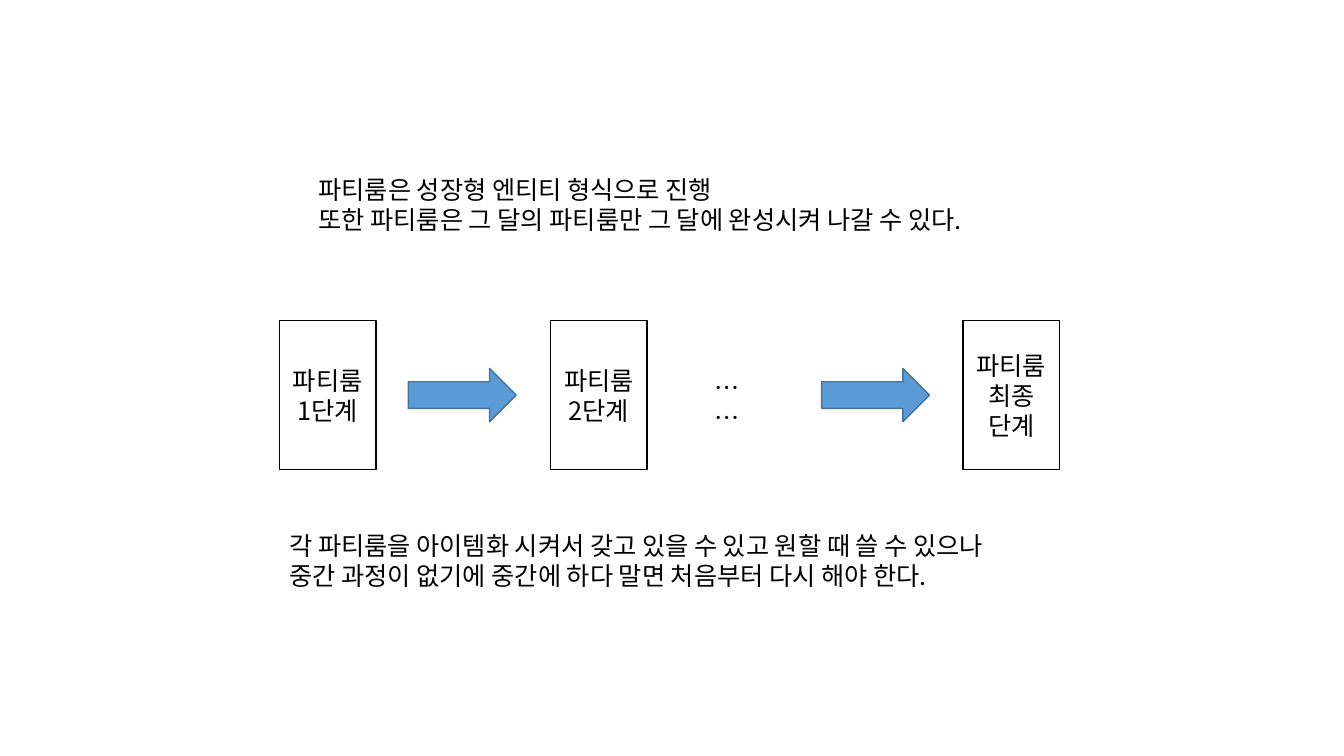
"""Build the party room growth-stage slide."""
from dataclasses import dataclass

from lxml.etree import SubElement
from pptx import Presentation
from pptx.dml.color import RGBColor
from pptx.enum.shapes import MSO_SHAPE as Shape
from pptx.enum.text import MSO_ANCHOR as Anchor, MSO_AUTO_SIZE as AutoSize, PP_ALIGN as Align
from pptx.oxml.ns import qn
from pptx.util import Inches, Pt


@dataclass(frozen=True)
class Theme:
    font: str = "Noto Sans CJK KR"
    size: float = 18
    leading: float = 21.5
    text: str = "000000"
    paper: str = "FFFFFF"
    arrow: str = "5B9BD5"
    arrow_edge: str = "43739E"


THEME = Theme()
SLIDE_SIZE = (13.33, 7.5)
STAGE_SIZE = (0.96, 1.48)
ARROW_SIZE = (1.07, 0.53)
ROW_MIDDLE = 3.92

STAGES = [
    (2.77, ["파티룸", "1단계"]),
    (5.46, ["파티룸", "2단계"]),
    (9.55, ["파티룸", "최종", "단계"]),
]
ARROW_LEFTS = [4.05, 8.15]
NOTES = [
    ((3.06, 1.68, 7.41, 0.71), [
        "파티룸은 성장형 엔티티 형식으로 진행",
        "또한 파티룸은 그 달의 파티룸만 그 달에 완성시켜 나갈 수 있다.",
    ]),
    ((6.99, 3.65, 0.58, 0.4), ["……"]),
    ((2.77, 5.21, 8.09, 0.71), [
        "각 파티룸을 아이템화 시켜서 갖고 있을 수 있고 원할 때 쓸 수 있으나",
        "중간 과정이 없기에 중간에 하다 말면 처음부터 다시 해야 한다.",
    ]),
]


def write(frame, lines, align=Align.LEFT, anchor=Anchor.TOP, color=THEME.text):
    frame.word_wrap = True
    frame.vertical_anchor = anchor
    for index, line in enumerate(lines):
        paragraph = frame.paragraphs[0] if index == 0 else frame.add_paragraph()
        paragraph.alignment = align
        paragraph.line_spacing = Pt(THEME.leading)
        run = paragraph.add_run()
        run.text = line
        run.font.size = Pt(THEME.size)
        run.font.name = THEME.font
        run.font.color.rgb = RGBColor.from_string(color)
        SubElement(run.font._element, qn("a:ea"), typeface=THEME.font)


def add_in_row(slide, preset, left, size, fill, edge):
    width, height = size
    box = (left, ROW_MIDDLE - height / 2, width, height)
    shape = slide.shapes.add_shape(preset, *map(Inches, box))
    shape.shadow.inherit = False
    shape.fill.solid()
    shape.fill.fore_color.rgb = RGBColor.from_string(fill)
    shape.line.color.rgb = RGBColor.from_string(edge)
    shape.line.width = Pt(1)
    return shape


def main():
    deck = Presentation()
    deck.slide_width, deck.slide_height = map(Inches, SLIDE_SIZE)
    slide = deck.slides.add_slide(deck.slide_layouts[6])
    for left, label in STAGES:
        stage = add_in_row(slide, Shape.RECTANGLE, left, STAGE_SIZE, THEME.paper, THEME.text)
        write(stage.text_frame, label, align=Align.CENTER, anchor=Anchor.MIDDLE)
    for left in ARROW_LEFTS:
        add_in_row(slide, Shape.RIGHT_ARROW, left, ARROW_SIZE, THEME.arrow, THEME.arrow_edge)
    for box, lines in NOTES:
        note = slide.shapes.add_textbox(*map(Inches, box))
        write(note.text_frame, lines)
        note.text_frame.auto_size = AutoSize.SHAPE_TO_FIT_TEXT
    deck.save("out.pptx")


if __name__ == "__main__":
    main()
